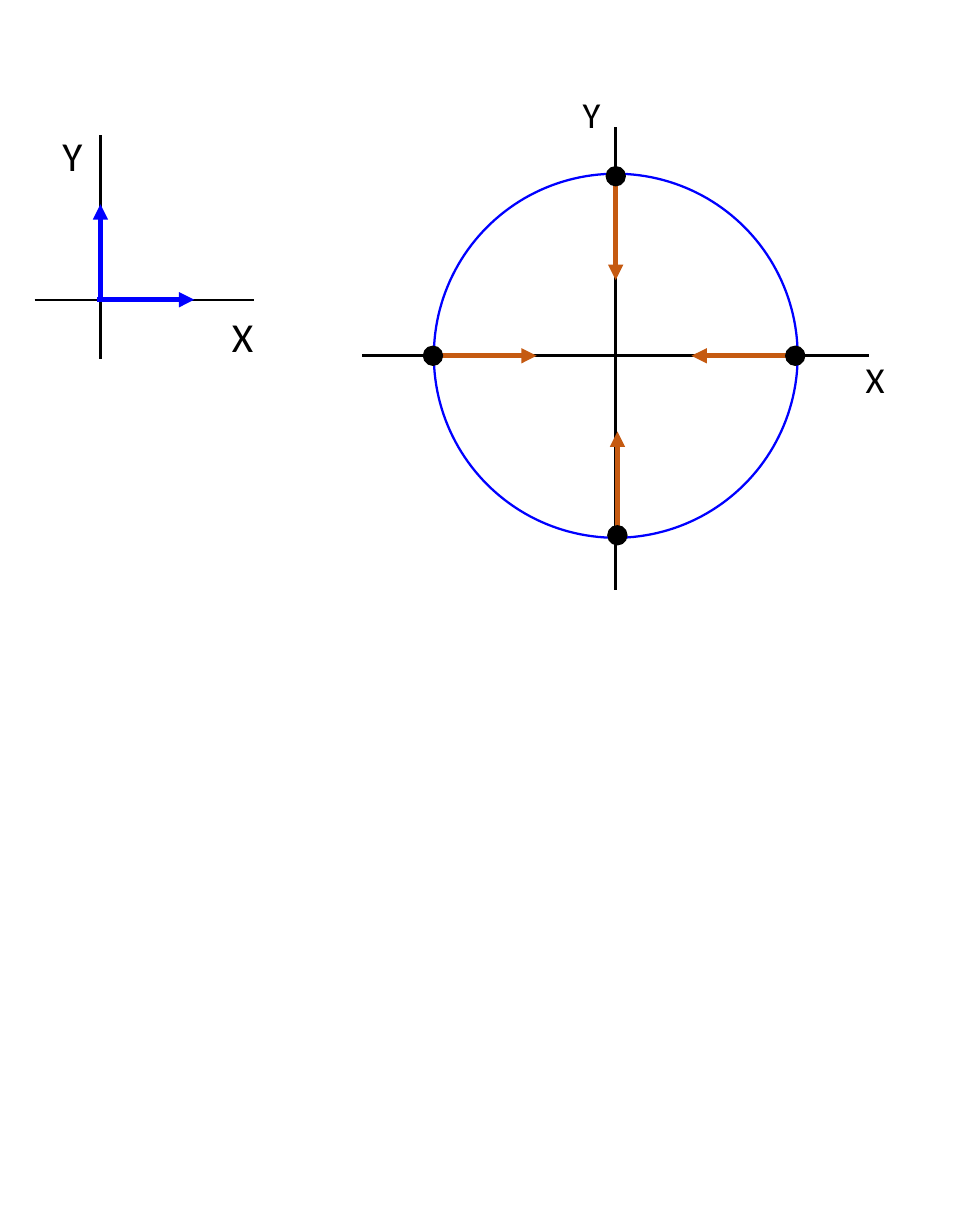
from lxml import etree
from pptx import Presentation
from pptx.dml.color import RGBColor
from pptx.enum.shapes import MSO_CONNECTOR, MSO_SHAPE
from pptx.enum.text import MSO_AUTO_SIZE
from pptx.oxml.ns import qn
from pptx.util import Inches, Pt

STRAIGHT = MSO_CONNECTOR.STRAIGHT
OVAL = MSO_SHAPE.OVAL
FIT = MSO_AUTO_SIZE.SHAPE_TO_FIT_TEXT

INK = {"black": "000000", "blue": "0000FF", "rust": "C55A11"}


class Sketch:
    """Draws lines, circles and labels on one slide, in groups where asked."""

    def __init__(self, slide, font):
        self.slide = slide
        self.font = font
        self.shapes = slide.shapes

    def group(self):
        self.shapes = self.slide.shapes.add_group_shape().shapes

    def line(self, start, end, color, width, arrow=False):
        ends = [Inches(n) for n in (*start, *end)]
        line = self.shapes.add_connector(STRAIGHT, *ends)
        line.line.color.rgb = RGBColor.from_string(INK[color])
        line.line.width = Pt(width)
        props = line._element.spPr
        if arrow:
            etree.SubElement(props.find(qn("a:ln")), qn("a:tailEnd"), type="triangle")
        etree.SubElement(props, qn("a:effectLst"))

    def circle(self, center, size, color, filled=False):
        left, top = (Inches(n - size / 2) for n in center)
        ring = self.shapes.add_shape(OVAL, left, top, Inches(size), Inches(size))
        ring.shadow.inherit = False
        ring.line.color.rgb = RGBColor.from_string(INK[color])
        ring.line.width = Pt(1)
        if filled:
            ring.fill.solid()
            ring.fill.fore_color.rgb = RGBColor.from_string(INK[color])
        else:
            ring.fill.background()

    def label(self, text, left, top, width, height, size):
        box = self.shapes.add_textbox(*map(Inches, (left, top, width, height)))
        frame = box.text_frame
        frame.word_wrap = False
        frame.auto_size = FIT
        para = frame.paragraphs[0]
        para.text = text
        para.font.name = self.font
        para.font.size = Pt(size)
        para.font.color.rgb = RGBColor.from_string(INK["black"])


def main():
    deck = Presentation()
    deck.slide_width, deck.slide_height = Inches(5.91), Inches(7.48)
    sketch = Sketch(deck.slides.add_slide(deck.slide_layouts[6]), "Calibri")

    sketch.group()
    sketch.line((0.61, 0.82), (0.61, 2.18), "black", 1)
    sketch.line((0.21, 1.82), (1.54, 1.82), "black", 1)
    sketch.label("X", 1.31, 1.84, 0.33, 0.4, 18)
    sketch.label("Y", 0.28, 0.74, 0.32, 0.4, 18)
    sketch.line((0.59, 1.82), (1.18, 1.82), "blue", 2.25, arrow=True)
    sketch.line((0.61, 1.82), (0.61, 1.24), "blue", 2.25, arrow=True)

    sketch.shapes = sketch.slide.shapes
    sketch.line((2.2, 2.16), (5.28, 2.16), "black", 1.5)
    sketch.line((3.74, 3.58), (3.74, 0.77), "black", 1.5)
    sketch.circle((3.74, 2.16), 2.21, "blue")
    sketch.label("X", 5.16, 2.12, 0.32, 0.37, 16)
    sketch.label("Y", 3.44, 0.51, 0.32, 0.37, 16)

    reach = 0.63
    inward = [
        ((3.74, 1.07), (0, 1)),
        ((2.63, 2.16), (1, 0)),
        ((3.75, 3.25), (0, -1)),
        ((4.83, 2.16), (-1, 0)),
    ]
    for (x, y), (dx, dy) in inward:
        sketch.group()
        tip = (x + reach * dx, y + reach * dy)
        sketch.line((x, y), tip, "rust", 2.25, arrow=True)
        sketch.circle((x, y), 0.11, "black", filled=True)

    deck.save("out.pptx")


if __name__ == "__main__":
    main()
